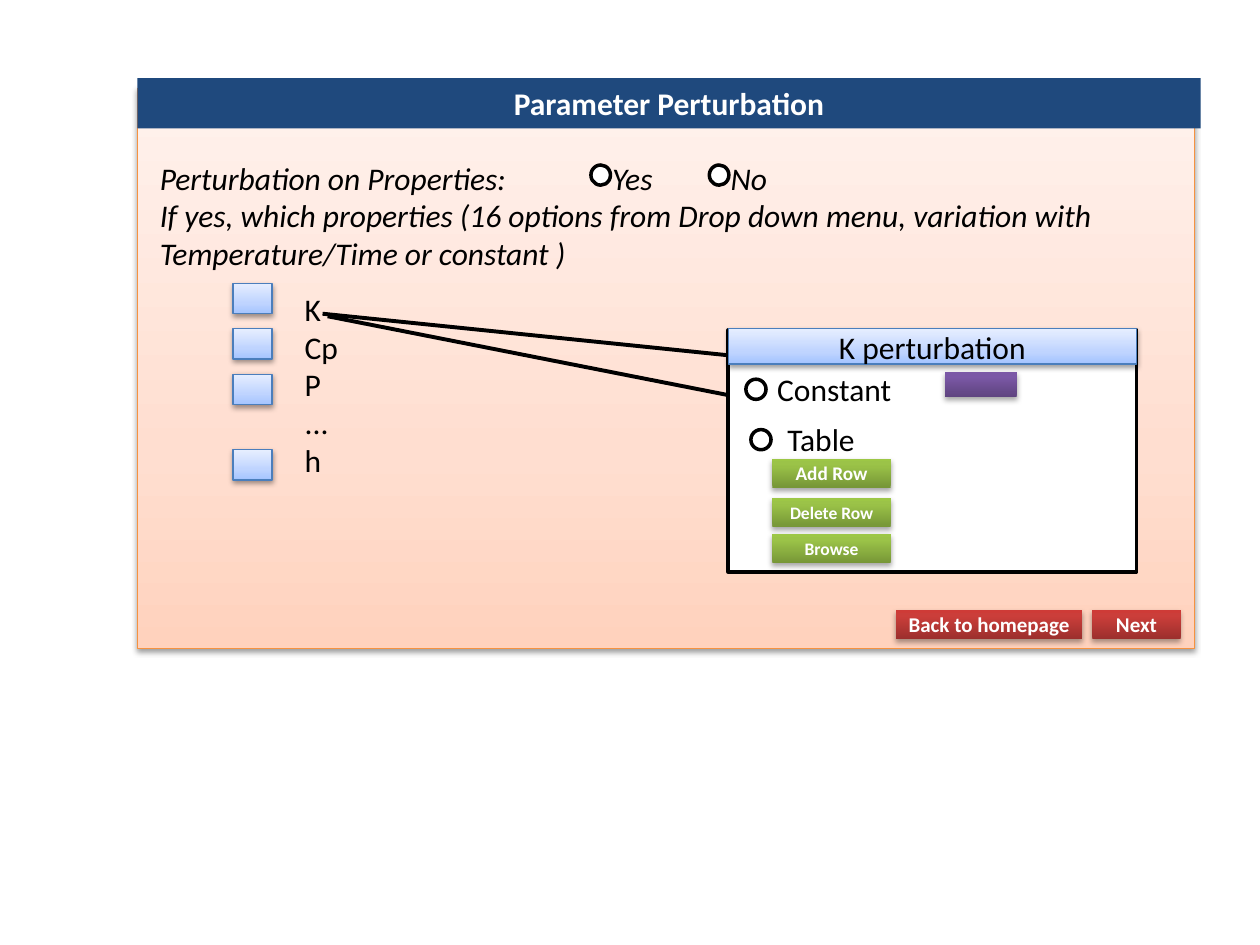
from dataclasses import dataclass

from lxml.etree import SubElement
from pptx import Presentation
from pptx.dml.color import RGBColor
from pptx.enum.shapes import MSO_CONNECTOR, MSO_SHAPE
from pptx.enum.text import MSO_ANCHOR, PP_ALIGN
from pptx.oxml.ns import qn
from pptx.util import Inches, Pt

COLORS = {"title": "1F497D", "white": "FFFFFF", "black": "000000",
          "panel_edge": "F69240", "blue_edge": "4B7EBC"}
GRADIENTS = {
    "peach": ((0, "FFD2BD"), (35, "FFDED0"), (100, "FFF2ED")),
    "blue": ((0, "A4C4FF"), (35, "BFD4FF"), (100, "E6EEFF")),
    "purple": ((0, "5F4480"), (80, "7B58A6"), (100, "7C57A8")),
    "green": ((0, "779737"), (80, "9BC348"), (100, "9DC746")),
    "red": ((0, "9C2F2D"), (80, "CB3E3A"), (100, "CE3B37")),
}
COLUMNS, ROWS = 100, 75
CELL = Inches(10) / COLUMNS


@dataclass
class Box:
    """A rectangle measured in grid columns and rows."""
    left: float
    top: float
    width: float
    height: float

    def inner(self, left, top, width, height):
        """Return a box offset from this one's corner."""
        return Box(self.left + left, self.top + top, width, height)

    def lengths(self):
        """Return the box as slide lengths."""
        return [round(n * CELL) for n in (self.left, self.top, self.width, self.height)]


def rgb(name):
    """Look up a named colour."""
    return RGBColor.from_string(COLORS[name])


def style_text(paragraph, size, color="black", bold=False, italic=False):
    """Set the font of a whole paragraph."""
    font = paragraph.font
    font.name, font.size, font.bold, font.italic = "Calibri", Pt(size), bold, italic
    font.color.rgb = rgb(color)


def add_gradient(shape, stops):
    """Fill a shape with stops that run from bottom to top."""
    shape.fill.gradient()
    shape.fill.gradient_angle = 90
    stop_list = shape.element.spPr.find(qn("a:gradFill")).find(qn("a:gsLst"))
    stop_list.clear()
    for position, color in stops:
        stop = SubElement(stop_list, qn("a:gs"), pos=str(position * 1000))
        SubElement(stop, qn("a:srgbClr"), val=color)


def add_shadow(shape, opacity, distance):
    """Drop a soft shadow below a shape."""
    effects = shape.element.spPr.find(qn("a:effectLst"))
    shadow = SubElement(effects, qn("a:outerShdw"), blurRad=str(Pt(3.1)),
                        dist=str(Pt(distance)), dir="5400000", rotWithShape="0")
    color = SubElement(shadow, qn("a:srgbClr"), val=COLORS["black"])
    SubElement(color, qn("a:alpha"), val=str(opacity * 1000))


def add_block(slide, box, fill, edge=None, weight=0.75, kind=MSO_SHAPE.RECTANGLE):
    """Add a flat block, or a shadowed one when the fill is a gradient."""
    block = slide.shapes.add_shape(kind, *box.lengths())
    block.shadow.inherit = False
    if fill in GRADIENTS:
        add_gradient(block, GRADIENTS[fill])
        add_shadow(block, *((38, 1.6) if edge else (35, 1.8)))
    else:
        block.fill.solid()
        block.fill.fore_color.rgb = rgb(fill)
    if edge:
        block.line.color.rgb = rgb(edge)
        block.line.width = Pt(weight)
    else:
        block.line.fill.background()
    return block


def add_caption(block, text, size, color="white", bold=True):
    """Centre one line of text in a block."""
    frame = block.text_frame
    frame.word_wrap = False
    frame.vertical_anchor = MSO_ANCHOR.MIDDLE
    caption = frame.paragraphs[0]
    caption.text = text
    caption.alignment = PP_ALIGN.CENTER
    style_text(caption, size, color, bold)


def add_lines(slide, box, lines, italic=False, tabs=()):
    """Add a text box with one paragraph for each line."""
    frame = slide.shapes.add_textbox(*box.lengths()).text_frame
    frame.word_wrap = True
    for index, line in enumerate(lines):
        paragraph = frame.add_paragraph() if index else frame.paragraphs[0]
        paragraph.text = line
        if "\t" in line:
            tab_list = SubElement(paragraph._p.get_or_add_pPr(), qn("a:tabLst"))
            for tab in tabs:
                SubElement(tab_list, qn("a:tab"), pos=str(round(tab * CELL)), algn="l")
        style_text(paragraph, 18, italic=italic)


def add_radio(slide, box):
    """Add a round option mark."""
    add_block(slide, box, "white", "black", 2, MSO_SHAPE.OVAL)


def add_button(slide, box, text, size, fill):
    """Add a captioned button."""
    add_caption(add_block(slide, box, fill), text, size)


def build_window(slide, box):
    """Draw the window with its title bar."""
    add_block(slide, box, "peach", "panel_edge")
    title_bar = add_block(slide, box.inner(0, -0.8, 84.4, 4), "title")
    add_caption(title_bar, "Parameter Perturbation", 18)


def build_question(slide, box):
    """Ask whether and which properties are perturbed."""
    add_lines(slide, box, [
        "Perturbation on Properties:\tYes\tNo",
        "If yes, which properties (16 options from Drop down menu, "
        "variation with Temperature/Time or constant )",
    ], italic=True, tabs=(35.9, 45.3))
    for left in (35.2, 44.6):
        add_radio(slide, box.inner(left, 1, 1.55, 1.6))


def build_properties(slide, box):
    """List the properties with their check boxes and pointers from K."""
    for top in (0, 3.6, 7.2, 13.2):
        add_block(slide, box.inner(0, top, 3.1, 2.4), "blue", "blue_edge")
    add_lines(slide, box.inner(4.7, 0, 17.3, 19.2), ["K", "Cp", "Ρ", "...", "h"])
    for start, end in (((7.1, 2.4), (39.3, 5.7)), ((7.5, 2.6), (39.5, 8.9))):
        ends = [round(n * CELL) for x, y in (start, end)
                for n in (box.left + x, box.top + y)]
        pointer = slide.shapes.add_connector(MSO_CONNECTOR.STRAIGHT, *ends)
        pointer.line.color.rgb = rgb("black")
        pointer.line.width = Pt(2.25)
        SubElement(pointer._element.spPr, qn("a:effectLst"))


def build_k_dialog(slide, box):
    """Draw the dialog that sets the perturbation of K."""
    add_block(slide, box, "white", "black", 2)
    header = add_block(slide, box.inner(0, -0.1, box.width, 2.8), "blue", "blue_edge")
    add_caption(header, "K perturbation", 18, "black", bold=False)
    for option, left, top in (("Constant", 1.4, 3.9), ("Table", 1.8, 7.9)):
        add_radio(slide, box.inner(left, top, 1.6, 1.6))
        add_lines(slide, box.inner(left * 2 + 0.1, top - 1.25, 13.9, 4), [option])
    add_block(slide, box.inner(17.2, 3.3, 5.7, 2), "purple")
    for text, size, top in (("Add Row", 11, 10.2), ("Delete Row", 10, 13.3),
                            ("Browse", 10, 16.2)):
        add_button(slide, box.inner(3.5, top, 9.4, 2.3), text, size, "green")


def build_navigation(slide, box):
    """Place the two page buttons at the ends of the box."""
    add_button(slide, box.inner(0, 0, 14.8, box.height), "Back to homepage", 12, "red")
    add_button(slide, box.inner(box.width - 7, 0, 7, box.height), "Next", 12, "red")


def main():
    """Build the slide and save it."""
    deck = Presentation()
    deck.slide_width, deck.slide_height = round(COLUMNS * CELL), round(ROWS * CELL)
    slide = deck.slides.add_slide(deck.slide_layouts[6])
    build_window(slide, Box(10.9, 7, 83.9, 44.5))
    build_question(slide, Box(11.7, 12.1, 83.6, 10))
    build_properties(slide, Box(18.5, 22.5, 22, 19.2))
    build_k_dialog(slide, Box(57.8, 26.2, 32.4, 19.2))
    build_navigation(slide, Box(71.1, 48.4, 22.6, 2.3))
    deck.save("out.pptx")


if __name__ == "__main__":
    main()
